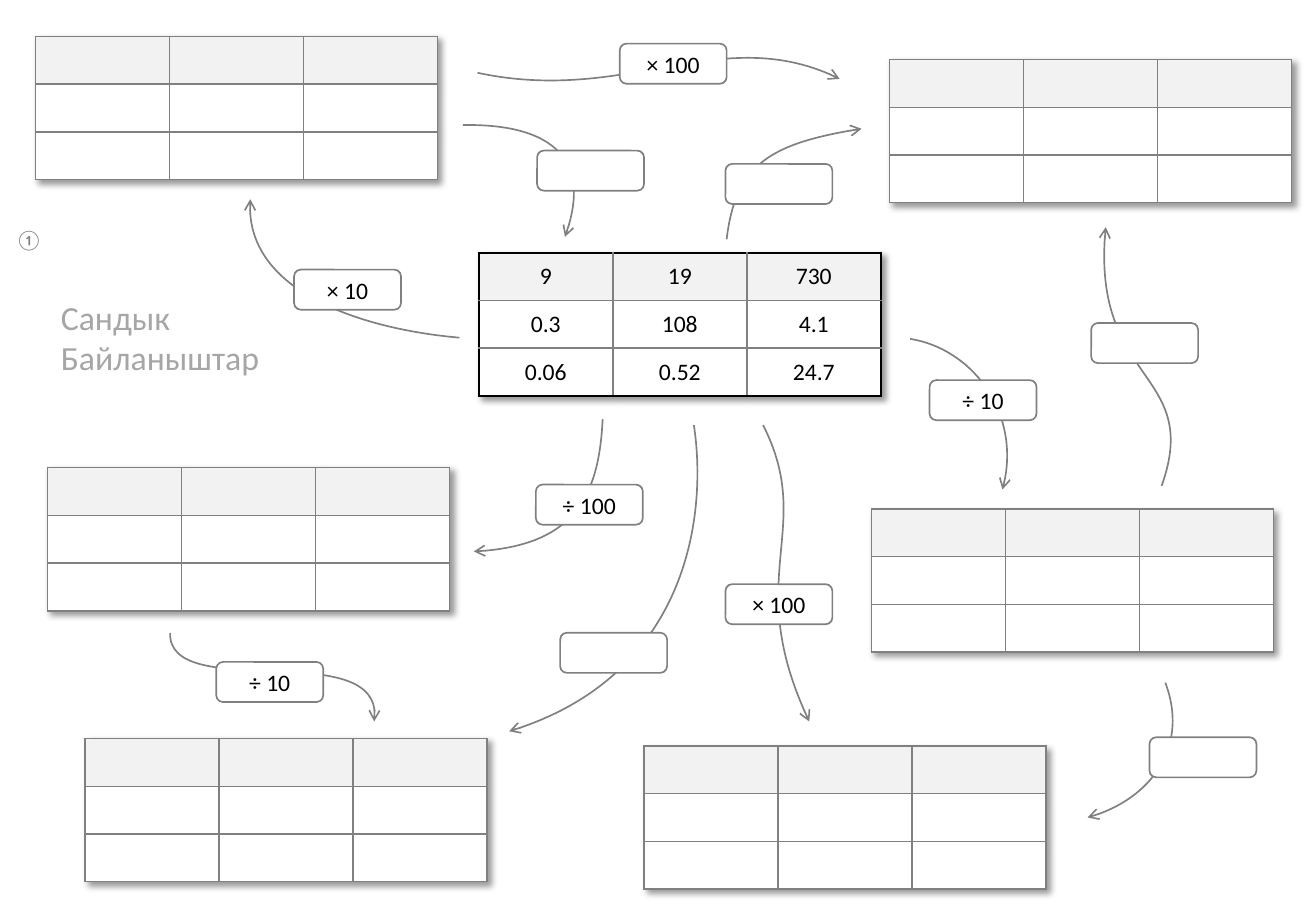
import pptx
import pptx.util
import pptx.dml.color
import pptx.enum.shapes
import pptx.enum.text
import pptx.oxml
import pptx.oxml.ns
from lxml import etree

RGBColor = pptx.dml.color.RGBColor
ANCHOR = pptx.enum.text.MSO_ANCHOR
ALIGN = pptx.enum.text.PP_ALIGN
qn = pptx.oxml.ns.qn

BLACK = RGBColor(0x00, 0x00, 0x00)
WHITE = RGBColor(0xFF, 0xFF, 0xFF)
GREY = RGBColor(0x80, 0x80, 0x80)
TITLE_GREY = RGBColor(0xA6, 0xA6, 0xA6)
HEADER_GREY = RGBColor(0xF2, 0xF2, 0xF2)
FONT = "Calibri"

# The slide is a grid of 108.3 columns by 75 rows, each 0.1 inch
COLUMNS, ROWS = 108.3, 75
CELL_WIDTH, CELL_HEIGHT = 11.03, 3.93
LABEL_WIDTH, LABEL_HEIGHT = 8.8, 3.3

CENTRE_TABLE = (39.4, 20.8)
CENTRE_VALUES = [["9", "19", "730"], ["0.3", "108", "4.1"], ["0.06", "0.52", "24.7"]]
EMPTY_VALUES = [[""] * 3] * 3
EMPTY_TABLES = [(2.9, 3), (73.2, 4.9), (71.7, 41.9), (53, 61.4), (7, 60.8), (3.9, 38.5)]

# Start, two control points and end of each curved arrow
ARROWS = [
    [(39.3, 6), (51.4, 8.6), (59.4, 1.7), (69.1, 6.5)],
    [(59.8, 19.7), (60.5, 13.8), (63.3, 11.8), (70.9, 10.6)],
    [(95.6, 40), (98.9, 30.7), (89.7, 31.7), (91, 18.7)],
    [(74.9, 27.9), (79.9, 28.7), (84.2, 34.2), (82.5, 40.3)],
    [(37.8, 27.8), (29.9, 27.1), (20, 23.9), (20.6, 16.4)],
    [(95.9, 56.2), (97.8, 61.2), (94.7, 65.9), (89.5, 67.3)],
    [(57.1, 35), (58.2, 42.2), (56.7, 55.7), (41.9, 60.2)],
    [(14, 52.1), (13.8, 57.8), (31.8, 52.2), (30.8, 59.4)],
    [(49.6, 34.5), (49.3, 41), (47, 45), (39, 45.4)],
    [(62.8, 35), (67.1, 43.5), (60.9, 47.4), (66.6, 59.4)],
    [(38.1, 10.3), (43, 10.2), (49.4, 11.6), (46.5, 19.5)],
]

LABELS = [
    (24.2, 22.2, "× 10"), (51, 3.6, "× 100"), (59.7, 13.5, ""), (89.8, 26.6, ""),
    (76.5, 31.3, "÷ 10"), (44.1, 39.9, "÷ 100"), (46.1, 52.1, ""),
    (59.7, 48.1, "× 100"), (94.6, 60.7, ""), (17.8, 54.5, "÷ 10"), (44.2, 12.4, ""),
]


def grid(count):
    return pptx.util.Inches(count * 0.1)


def write_text(frame, text, size=14, color=BLACK, align=ALIGN.CENTER,
               anchor=ANCHOR.MIDDLE, wrap=True):
    frame.text = text
    frame.word_wrap = wrap
    frame.vertical_anchor = anchor
    for paragraph in frame.paragraphs:
        paragraph.alignment = align
        for run in paragraph.runs:
            run.font.size = pptx.util.Pt(size)
            run.font.name = FONT
            run.font.color.rgb = color


def set_borders(cell, outer_sides, outer_color, outer_width):
    properties = cell._tc.get_or_add_tcPr()
    for index, side in enumerate("LRTB"):
        is_outer = side in outer_sides
        color, width = (outer_color, outer_width) if is_outer else (GREY, 1)
        border = etree.Element(qn(f"a:ln{side}"), w=str(pptx.util.Pt(width)))
        fill = etree.SubElement(border, qn("a:solidFill"))
        etree.SubElement(fill, qn("a:srgbClr"), val=str(color))
        properties.insert(index, border)


def add_table_shadow(table):
    effects = etree.Element(qn("a:effectLst"))
    shadow = etree.SubElement(effects, qn("a:outerShdw"), blurRad="50800",
                              dist="38100", dir="2700000", algn="tl", rotWithShape="0")
    color = etree.SubElement(shadow, qn("a:srgbClr"), val=str(BLACK))
    etree.SubElement(color, qn("a:alpha"), val="40000")
    table._tbl.tblPr.insert(0, effects)


def add_number_table(slide, left, top, values, outer_color=GREY, outer_width=1):
    table = slide.shapes.add_table(3, 3, grid(left), grid(top), grid(3 * CELL_WIDTH),
                                   grid(3 * CELL_HEIGHT)).table
    table.first_row = table.horz_banding = False
    for column in table.columns:
        column.width = grid(CELL_WIDTH)
    for row_index, row in enumerate(table.rows):
        row.height = grid(CELL_HEIGHT)
        for column_index, cell in enumerate(row.cells):
            cell.margin_left = cell.margin_right = 0
            cell.margin_top = cell.margin_bottom = 0
            cell.vertical_anchor = ANCHOR.MIDDLE
            cell.fill.solid()
            cell.fill.fore_color.rgb = WHITE if row_index else HEADER_GREY
            outer_sides = {0: "L", 2: "R"}.get(column_index, "")
            outer_sides += {0: "T", 2: "B"}.get(row_index, "")
            set_borders(cell, outer_sides, outer_color, outer_width)
            value = values[row_index][column_index]
            if value:
                write_text(cell.text_frame, value)
    add_table_shadow(table)


def curve_point(points, share):
    weights = [(1 - share) ** 3, 3 * share * (1 - share) ** 2,
               3 * share ** 2 * (1 - share), share ** 3]
    return tuple(int(sum(w * p[axis] for w, p in zip(weights, points))) for axis in (0, 1))


def add_curved_arrow(slide, grid_points):
    points = [(grid(x), grid(y)) for x, y in grid_points]
    # Sampled points give the frame its exact bounds
    builder = slide.shapes.build_freeform(*points[0], scale=1.0)
    builder.add_line_segments([curve_point(points, step / 40) for step in range(1, 41)],
                              close=False)
    shape = builder.convert_to_shape()
    # One cubic segment replaces the samples
    outline = next(shape._element.iter(qn("a:path")))
    for segment in outline.findall(qn("a:lnTo")):
        outline.remove(segment)
    curve = etree.SubElement(outline, qn("a:cubicBezTo"))
    for x, y in points[1:]:
        etree.SubElement(curve, qn("a:pt"), x=str(x - shape.left), y=str(y - shape.top))
    shape.fill.background()
    style_line(shape)
    line = shape._element.spPr.find(qn("a:ln"))
    etree.SubElement(line, qn("a:tailEnd"), type="arrow")


def style_line(shape):
    shape.shadow.inherit = False
    shape.line.color.rgb = GREY
    shape.line.width = pptx.util.Pt(1)


def add_label(slide, left, top, text):
    shape = slide.shapes.add_shape(pptx.enum.shapes.MSO_SHAPE.ROUNDED_RECTANGLE,
                                   grid(left), grid(top),
                                   grid(LABEL_WIDTH), grid(LABEL_HEIGHT))
    shape.fill.solid()
    shape.fill.fore_color.rgb = WHITE
    style_line(shape)
    shape.text_frame.margin_left = shape.text_frame.margin_right = 0
    if text:
        write_text(shape.text_frame, text)


def add_title(slide):
    title = slide.shapes.title
    title.left, title.top = grid(4), grid(23.9)
    title.width, title.height = grid(18.5), grid(7.7)
    write_text(title.text_frame, "Сандык\nБайланыштар", size=20, color=TITLE_GREY,
               align=ALIGN.LEFT, anchor=ANCHOR.TOP, wrap=False)


def add_sheet_number(slide):
    box = slide.shapes.add_textbox(grid(0.3), grid(18.2), grid(4.3), grid(3))
    write_text(box.text_frame, "①", size=12, color=GREY, align=ALIGN.LEFT,
               anchor=ANCHOR.TOP, wrap=False)


def main():
    presentation = pptx.Presentation()
    presentation.slide_width, presentation.slide_height = grid(COLUMNS), grid(ROWS)
    slide = presentation.slides.add_slide(presentation.slide_layouts[5])
    add_title(slide)
    add_sheet_number(slide)

    # Tables
    for left, top in EMPTY_TABLES:
        add_number_table(slide, left, top, EMPTY_VALUES)
    add_number_table(slide, *CENTRE_TABLE, CENTRE_VALUES, outer_color=BLACK, outer_width=1.5)

    # Arrows, with the operation labels on top of them
    for points in ARROWS:
        add_curved_arrow(slide, points)
    for left, top, text in LABELS:
        add_label(slide, left, top, text)

    presentation.save("out.pptx")


if __name__ == "__main__":
    main()
